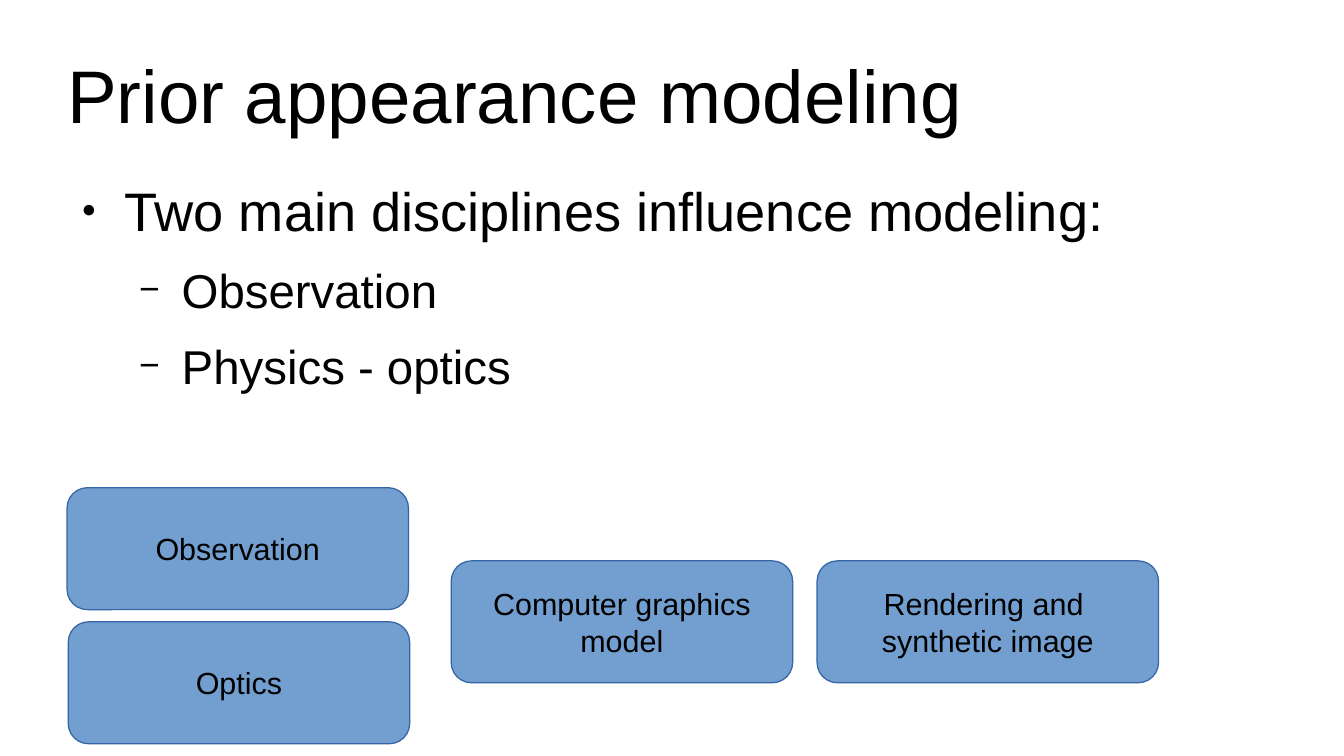
from lxml import etree
from pptx import Presentation
from pptx.dml.color import RGBColor
from pptx.enum.shapes import MSO_SHAPE
from pptx.enum.text import MSO_ANCHOR, MSO_AUTO_SIZE, PP_ALIGN
from pptx.oxml.ns import qn
from pptx.util import Inches, Pt

ROUND = MSO_SHAPE.ROUNDED_RECTANGLE
TOP, MIDDLE = MSO_ANCHOR.TOP, MSO_ANCHOR.MIDDLE
LEFT, CENTER = PP_ALIGN.LEFT, PP_ALIGN.CENTER
FIXED = MSO_AUTO_SIZE.NONE

FONT = "Arial"
BLACK, BLUE, EDGE = "000000", "729FCF", "3465A4"
BOX_W, BOX_H = 2.8, 1

# level, text, space before
POINTS = [
    (0, "Two main disciplines influence modeling:", 0),
    (1, "Observation", 11.3),
    (1, "Physics - optics", 11.3),
]
# bullet, bullet size in percent, text size, indent
LEVELS = [("●", 45, 32, 0.47), ("−", 75, 28, 0.94)]
HANG = 0.35

# left, top, lines
BOXES = [
    (0.55, 4, ["Observation"]),
    (0.56, 5.1, ["Optics"]),
    (3.7, 4.6, ["Computer graphics", "model"]),
    (6.7, 4.6, ["Rendering and ", "synthetic image"]),
]


def color(code):
    return RGBColor.from_string(code)


def add_run(para, text, size):
    run = para.add_run()
    run.text = text
    run.font.name = FONT
    run.font.size = Pt(size)
    run.font.color.rgb = color(BLACK)


def next_para(frame, index):
    """Return the empty first paragraph, or add one after it."""
    return frame.add_paragraph() if index else frame.paragraphs[0]


def set_frame(frame, anchor, wrap, side=0, edge=0):
    frame.auto_size = FIXED
    frame.word_wrap = wrap
    frame.vertical_anchor = anchor
    frame.margin_left = frame.margin_right = Inches(side)
    frame.margin_top = frame.margin_bottom = Inches(edge)


def place(shape, left, top, width, height):
    shape.left, shape.top = Inches(left), Inches(top)
    shape.width, shape.height = Inches(width), Inches(height)


def set_bullet(para, mark, percent, indent):
    props = para._p.get_or_add_pPr()
    props.set("marL", str(Inches(indent)))
    props.set("indent", str(Inches(-HANG)))
    tint = etree.SubElement(props, qn("a:buClr"))
    etree.SubElement(tint, qn("a:srgbClr"), val=BLACK)
    etree.SubElement(props, qn("a:buSzPct"), val=str(percent * 1000))
    etree.SubElement(props, qn("a:buFont"), typeface=FONT)
    etree.SubElement(props, qn("a:buChar"), char=mark)


def fill_title(title, text):
    place(title, 0.55, 0.25, 9.92, 1.04)
    set_frame(title.text_frame, MIDDLE, True)
    para = title.text_frame.paragraphs[0]
    para.alignment = LEFT
    add_run(para, text, 44)


def fill_list(body, points):
    place(body, 0.55, 1.45, 9.92, 3.6)
    frame = body.text_frame
    set_frame(frame, TOP, True)
    for index, (level, text, space) in enumerate(points):
        mark, percent, size, indent = LEVELS[level]
        para = next_para(frame, index)
        set_bullet(para, mark, percent, indent)
        para.level = level
        para.space_before = Pt(space)
        add_run(para, text, size)


def add_box(slide, left, top, lines):
    box = slide.shapes.add_shape(
        ROUND, Inches(left), Inches(top), Inches(BOX_W), Inches(BOX_H))
    box.shadow.inherit = False
    box.fill.solid()
    box.fill.fore_color.rgb = color(BLUE)
    box.line.color.rgb = color(EDGE)
    box.line.width = Pt(0)
    set_frame(box.text_frame, MIDDLE, False, 0.1, 0.05)
    for index, text in enumerate(lines):
        para = next_para(box.text_frame, index)
        para.alignment = CENTER
        add_run(para, text, 18)


def main():
    deck = Presentation()
    deck.slide_width, deck.slide_height = Inches(11.02), Inches(6.2)
    slide = deck.slides.add_slide(deck.slide_layouts[1])
    fill_title(slide.shapes.title, "Prior appearance modeling")
    fill_list(slide.placeholders[1], POINTS)
    for left, top, lines in BOXES:
        add_box(slide, left, top, lines)
    deck.save("out.pptx")


if __name__ == "__main__":
    main()
